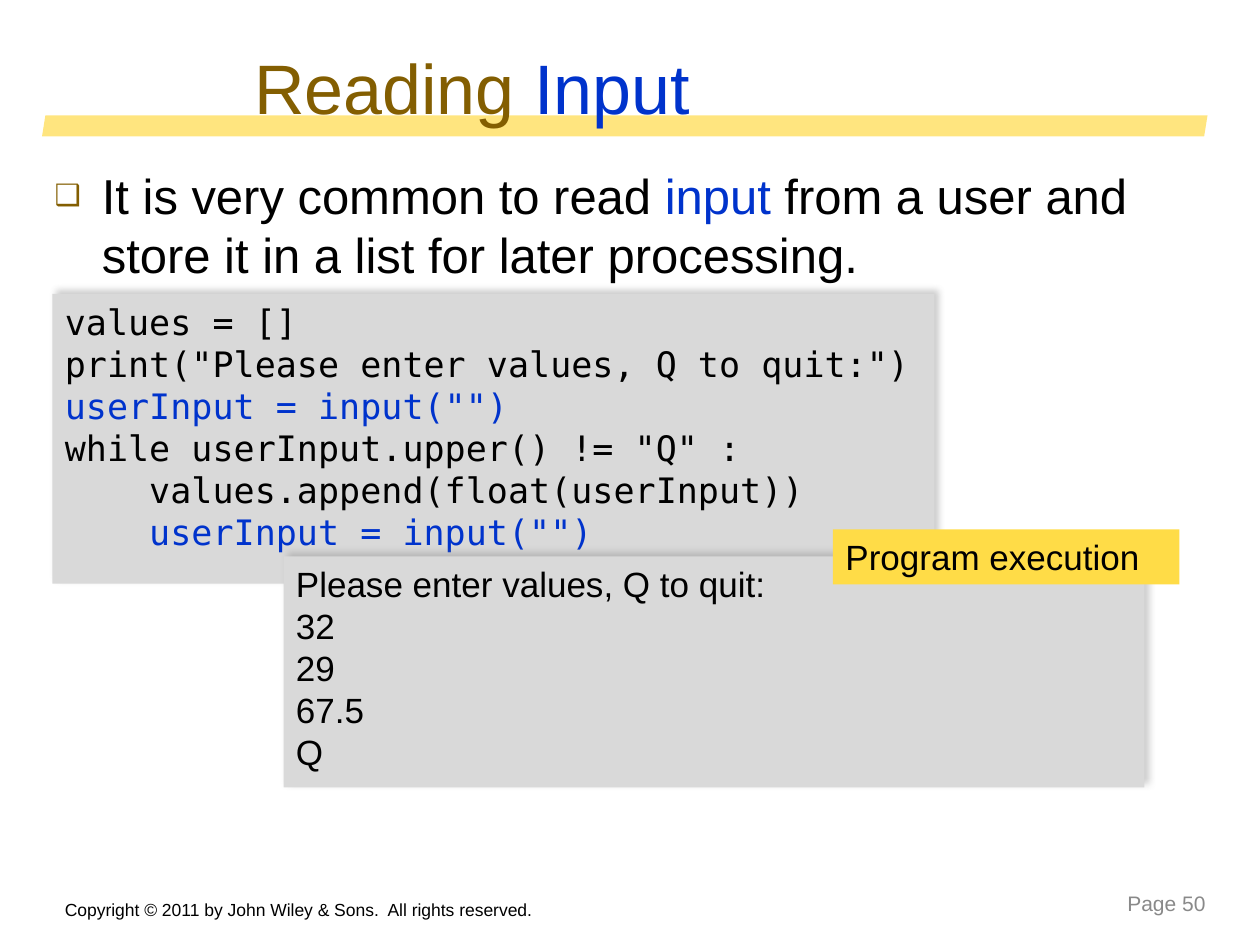
"""Build the Reading Input slide with python-pptx."""
from lxml import etree
from pptx import Presentation
from pptx.dml.color import RGBColor
from pptx.enum import shapes, text
from pptx.oxml import ns
from pptx.util import Pt

BLACK = RGBColor(0x00, 0x00, 0x00)
BROWN = RGBColor(0x83, 0x5E, 0x01)
BLUE = RGBColor(0x00, 0x33, 0xCC)
GREY = RGBColor(0x89, 0x89, 0x89)
PANEL = RGBColor(0xD9, 0xD9, 0xD9)
SHADE = RGBColor(0x80, 0x80, 0x80)
GOLD = RGBColor(0xFF, 0xCC, 0x00)
LABEL = RGBColor(0xFF, 0xDC, 0x47)
SANS, MONO = "Arial", "DejaVu Sans Mono"


def add_xml(parent, tag, **attrs):
    return etree.SubElement(parent, ns.qn(tag), attrs)


def write(sp, lines, size, font=SANS, anchor=text.MSO_ANCHOR.TOP,
          align=text.PP_ALIGN.LEFT, spacing=None):
    tf = sp.text_frame
    tf.word_wrap = True
    tf.auto_size = text.MSO_AUTO_SIZE.NONE
    tf.vertical_anchor = anchor
    for i, runs in enumerate(lines):
        p = tf.add_paragraph() if i else tf.paragraphs[0]
        p.alignment = align
        p.space_before = Pt(0)
        if spacing:
            p.line_spacing = Pt(spacing)
        p.font.size = Pt(size)
        p.font.name = font
        for words, color in runs:
            r = p.add_run()
            r.text = words
            r.font.color.rgb = color


prs = Presentation()
prs.slide_width, prs.slide_height = Pt(720), Pt(540)
s = prs.slides.add_slide(prs.slide_layouts[1])
title, body = s.placeholders

bar = s.shapes.add_shape(shapes.MSO_SHAPE.PARALLELOGRAM, Pt(24), Pt(66), Pt(666), Pt(12))
bar.adjustments[0] = 0.16
bar.shadow.inherit = False
bar.fill.solid()
bar.fill.fore_color.rgb = GOLD
add_xml(bar.fill._xPr.find(".//" + ns.qn("a:srgbClr")), "a:alpha", val="50000")
bar.line.fill.background()
s.shapes._spTree.insert(2, bar._element)

title.left, title.top, title.width, title.height = Pt(138), Pt(21.5), Pt(558), Pt(56)
write(title, [[("Reading ", BROWN), ("Input", BLUE)]], 40, anchor=text.MSO_ANCHOR.MIDDLE)

body.left, body.top, body.width, body.height = Pt(24), Pt(91), Pt(666), Pt(401)
pPr = body.text_frame.paragraphs[0]._p.get_or_add_pPr()
pPr.set("marL", str(Pt(27)))
pPr.set("indent", str(Pt(-27)))
add_xml(add_xml(pPr, "a:buClr"), "a:srgbClr", val=str(BROWN))
add_xml(pPr, "a:buSzPct", val="60000")
add_xml(pPr, "a:buFont", typeface=SANS)
add_xml(pPr, "a:buChar", char="❑")
write(body, [[("It is very common to read", BLACK), (" input ", BLUE),
              ("from a user and store it in a list for later processing.", BLACK)]],
      28, spacing=33.6)

sp = s.shapes.add_textbox(Pt(30), Pt(510), Pt(318), Pt(20))
write(sp, [[("Copyright © 2011 by John Wiley & Sons.  All rights reserved.", BLACK)]], 10)
sp = s.shapes.add_textbox(Pt(570), Pt(504), Pt(126), Pt(24))
write(sp, [[("Page 50", GREY)]], 12, anchor=text.MSO_ANCHOR.MIDDLE,
      align=text.PP_ALIGN.RIGHT)

code = [
    [("values = []", BLACK)],
    [('print("Please enter values, Q to quit:")', BLACK)],
    [('userInput = input("")', BLUE)],
    [('while userInput.upper() != "Q" :', BLACK)],
    [("    values.append(float(userInput))", BLACK)],
    [('    userInput = input("")', BLUE)],
]
output = [[(line, BLACK)] for line in
          ("Please enter values, Q to quit:", "32", "29", "67.5", "Q")]
boxes = [
    (30, 168, 504, 165.5, PANEL, MONO, code),
    (162, 318, 492, 132, PANEL, SANS, output),
    (476, 302.5, 198, 31.5, LABEL, SANS, [[("Program execution", BLACK)]]),
]
for left, top, width, height, color, font, lines in boxes:
    sp = s.shapes.add_shape(shapes.MSO_SHAPE.RECTANGLE, Pt(left), Pt(top), Pt(width), Pt(height))
    sp.fill.solid()
    sp.fill.fore_color.rgb = color
    sp.line.fill.background()
    sp.shadow.inherit = False
    if color == PANEL:
        effects = sp._element.spPr.find(ns.qn("a:effectLst"))
        shadow = add_xml(effects, "a:outerShdw", blurRad=str(Pt(4)), dist=str(Pt(3)),
                         dir="18900000", algn="bl", rotWithShape="0")
        add_xml(add_xml(shadow, "a:srgbClr", val=str(SHADE)), "a:alpha", val="40000")
    write(sp, lines, 20, font, spacing=24)

prs.save("out.pptx")
